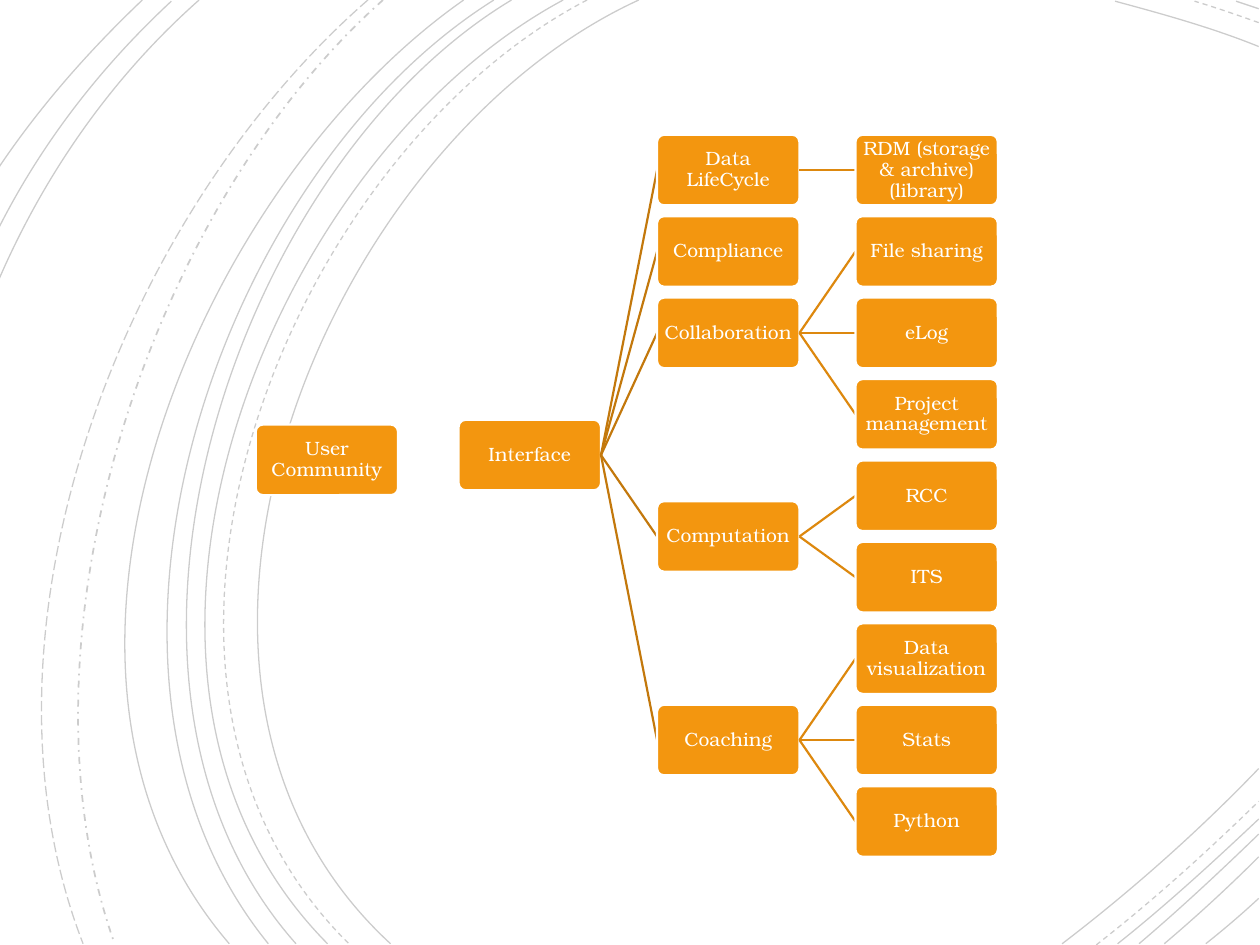
from lxml import etree
from pptx import Presentation
from pptx.dml.color import RGBColor
from pptx.enum.dml import MSO_LINE
from pptx.enum.shapes import MSO_CONNECTOR, MSO_SHAPE
from pptx.enum.text import MSO_ANCHOR, PP_ALIGN
from pptx.oxml.ns import qn
from pptx.util import Inches, Pt

STRAIGHT = MSO_CONNECTOR.STRAIGHT
ROUNDED = MSO_SHAPE.ROUNDED_RECTANGLE
MIDDLE, CENTER = MSO_ANCHOR.MIDDLE, PP_ALIGN.CENTER
SOLID, DASH = MSO_LINE.SOLID, MSO_LINE.DASH
DASH_DOT, LONG_DASH = MSO_LINE.DASH_DOT, MSO_LINE.LONG_DASH

BLACK = RGBColor(0x00, 0x00, 0x00)
WHITE = RGBColor(0xFF, 0xFF, 0xFF)
ORANGE = RGBColor(0xF3, 0x96, 0x0F)
DARK_ORANGE = RGBColor(0xC3, 0x78, 0x0C)
MID_ORANGE = RGBColor(0xDD, 0x88, 0x0E)

# Tree grid in inches: columns and rows of equal boxes
BOX_WIDTH, BOX_HEIGHT = 1.13, 0.56
TREE_LEFT, TREE_TOP = 3.64, 1.07
COLUMN_STEP = (6.79 - TREE_LEFT) / 2
ROW_STEP = (6.24 - TREE_TOP) / 8
ROOT_ROW = 3.5

# Background arcs: dash, width, then start, two control points and end
ARCS = [
    (SOLID, 0.75, (5.07, 0), (2.56, 1.15), (0.83, 5.4), (3.1, 7.49)),
    (SOLID, 0.75, (9.99, 0.37), (9.62, 0.22), (9.22, 0.11), (8.85, 0.01)),
    (SOLID, 0.75, (8.43, 7.49), (8.98, 7.07), (9.51, 6.6), (9.99, 6.1)),
    (DASH, 0.75, (4.66, 0), (2.26, 1.25), (0.63, 5.38), (2.77, 7.49)),
    (DASH, 0.75, (9.99, 0.18), (9.82, 0.12), (9.65, 0.06), (9.48, 0.01)),
    (DASH, 0.75, (8.7, 7.5), (9.15, 7.15), (9.58, 6.76), (9.99, 6.36)),
    (SOLID, 0.75, (4.47, 0), (2.11, 1.27), (0.5, 5.37), (2.6, 7.49)),
    (SOLID, 0.75, (9.99, 0.07), (9.93, 0.05), (9.87, 0.03), (9.81, 0.01)),
    (SOLID, 0.75, (8.87, 7.49), (9.26, 7.18), (9.63, 6.84), (9.99, 6.5)),
    (SOLID, 0.75, (4.06, 0), (1.85, 1.33), (0.5, 5.41), (2.35, 7.49)),
    (SOLID, 0.75, (9.04, 7.49), (9.37, 7.21), (9.68, 6.92), (9.99, 6.62)),
    (SOLID, 0.75, (3.92, 0), (1.72, 1.38), (0.38, 5.34), (2.13, 7.49)),
    (SOLID, 0.75, (9.24, 7.49), (9.5, 7.27), (9.75, 7.04), (9.99, 6.8)),
    (SOLID, 0.75, (3.68, 0), (1.58, 1.47), (-0.07, 5.29), (1.82, 7.49)),
    (SOLID, 0.75, (9.57, 7.49), (9.71, 7.38), (9.85, 7.26), (9.99, 7.13)),
    (DASH_DOT, 1, (3.04, 0), (1.17, 1.66), (0.06, 5.09), (0.91, 7.49)),
    (LONG_DASH, 0.75, (2.92, 0), (0.98, 1.69), (-0.31, 4.99), (0.66, 7.49)),
    (SOLID, 0.75, (1.58, 0), (0.88, 0.62), (0.35, 1.39), (-0.01, 2.22)),
    (SOLID, 0.75, (1.36, 0.01), (0.79, 0.54), (0.33, 1.14), (-0.01, 1.81)),
    (SOLID, 0.75, (1.13, 0), (0.71, 0.4), (0.32, 0.84), (-0.01, 1.33)),
]

# Topic, row, and its services, which are centred on that row
TOPICS = [
    ("Data LifeCycle", 0, ["RDM (storage & archive) (library)"]),
    ("Compliance", 1, []),
    ("Collaboration", 2, ["File sharing", "eLog", "Project management"]),
    ("Computation", 4.5, ["RCC", "ITS"]),
    ("Coaching", 7, ["Data visualization", "Stats", "Python"]),
]

presentation = Presentation()
presentation.slide_width, presentation.slide_height = Inches(10), Inches(7.5)
slide = presentation.slides.add_slide(presentation.slide_layouts[6])


def add_box(text, left, top, size=11, font="TeX Gyre Bonum", color=WHITE, fill=ORANGE):
    """Add a rounded box with centred text."""
    box = slide.shapes.add_shape(ROUNDED, Inches(left), Inches(top),
                                 Inches(BOX_WIDTH), Inches(BOX_HEIGHT))
    box.adjustments[0] = 0.1
    box.shadow.inherit = False
    box.fill.solid()
    box.fill.fore_color.rgb = fill
    box.line.color.rgb = WHITE
    box.line.width = Pt(1.25)
    frame = box.text_frame
    frame.word_wrap = True
    frame.vertical_anchor = MIDDLE
    frame.margin_left = frame.margin_right = Inches(0.03)
    frame.margin_top = frame.margin_bottom = Inches(0.03)
    paragraph = frame.paragraphs[0]
    paragraph.alignment = CENTER
    paragraph.line_spacing = 0.9
    run = paragraph.add_run()
    run.text = text
    run.font.size, run.font.name = Pt(size), font
    run.font.color.rgb = color


def add_branch(text, column, row, parent_row, color):
    """Add a tree box and the line that joins it to its parent."""
    left = TREE_LEFT + column * COLUMN_STEP
    top = TREE_TOP + row * ROW_STEP
    parent_right = left - COLUMN_STEP + BOX_WIDTH
    parent_middle = TREE_TOP + parent_row * ROW_STEP + BOX_HEIGHT / 2
    connector = slide.shapes.add_connector(
        STRAIGHT, Inches(parent_right), Inches(parent_middle),
        Inches(left), Inches(top + BOX_HEIGHT / 2))
    connector.line.color.rgb = color
    connector.line.width = Pt(1.25)
    etree.SubElement(connector._element.spPr, qn("a:effectLst"))
    add_box(text, left, top)


for dash, width, *points in ARCS:
    start, *rest = [(Inches(x), Inches(y)) for x, y in points]
    builder = slide.shapes.build_freeform(*start)
    builder.add_line_segments(rest, close=False)
    arc = builder.convert_to_shape()
    arc.shadow.inherit = False
    arc.fill.background()
    arc.line.color.rgb = BLACK
    arc.line.width = Pt(width)
    arc.line.dash_style = dash
    line_color = next(arc._element.spPr.iter(qn("a:srgbClr")))
    etree.SubElement(line_color, qn("a:alpha"), val="20000")
    # The three straight segments become one cubic curve
    segments = list(arc._element.iter(qn("a:lnTo")))
    outline = segments[0].getparent()
    curve = etree.SubElement(outline, qn("a:cubicBezTo"))
    for segment in segments:
        curve.append(segment[0])
        outline.remove(segment)

add_box("Interface", TREE_LEFT, TREE_TOP + ROOT_ROW * ROW_STEP)
for topic, topic_row, services in TOPICS:
    add_branch(topic, 1, topic_row, ROOT_ROW, DARK_ORANGE)
    first_row = topic_row - (len(services) - 1) / 2
    for index, service in enumerate(services):
        add_branch(service, 2, first_row + index, topic_row, MID_ORANGE)
add_box("User Community", 2.03, 3.37)

presentation.save("out.pptx")
